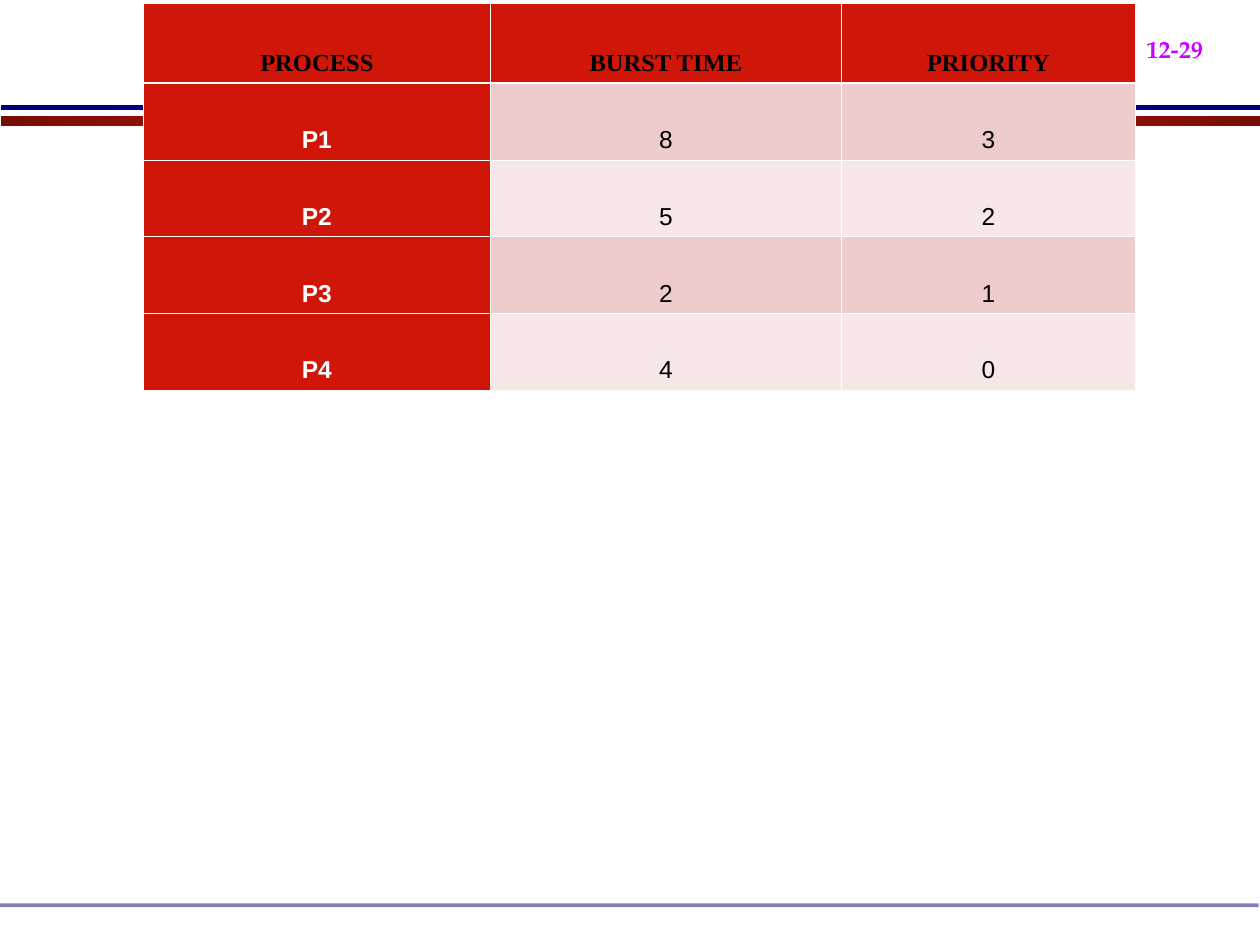
"""Builds a slide with a process scheduling table."""
import copy

import pptx
import pptx.dml.color
import pptx.enum.shapes
import pptx.enum.text
import pptx.oxml
import pptx.oxml.ns
import pptx.util
from pptx.util import Inches

COLORS = {
    "red": "D01608", "dark_red": "770D05", "bright_red": "E71909",
    "navy": "00007F", "blue": "0000B6", "footer": "000082",
    "pink": "EECCCC", "pale_pink": "F7E7E7", "magenta": "CC00FF",
    "black": "000000", "white": "FFFFFF",
}
PROCESSES = [
    ("PROCESS", "BURST TIME", "PRIORITY"),
    ("P1", "8", "3"),
    ("P2", "5", "2"),
    ("P3", "2", "1"),
    ("P4", "4", "0"),
]


def rgb(name):
    return pptx.dml.color.RGBColor.from_string(COLORS[name])


class SlideBuilder:
    def __init__(self, slide):
        self.slide = slide

    def bar(self, left, top, width, height, color):
        sp = self.slide.shapes.add_shape(
            pptx.enum.shapes.MSO_SHAPE.RECTANGLE,
            Inches(left), Inches(top), Inches(width), Inches(height))
        sp.shadow.inherit = False
        sp.line.fill.background()
        sp.fill.solid()
        sp.fill.fore_color.rgb = rgb(color)
        return sp

    def gradient_bar(self, left, top, width, height, edge, middle):
        sp = self.bar(left, top, width, height, edge)
        sp.fill.gradient()
        sp.fill.gradient_angle = 0
        stops = sp._element.spPr.find(".//" + pptx.oxml.ns.qn("a:gsLst"))
        stops.append(copy.deepcopy(stops[0]))
        for i, (stop, color) in enumerate(zip(sp.fill.gradient_stops, (edge, middle, edge))):
            stop.position = i / 2
            stop.color.rgb = rgb(color)

    def translucent_bar(self, left, top, width, height, color, alpha):
        sp = self.bar(left, top, width, height, color)
        clr = sp._element.spPr.find(".//" + pptx.oxml.ns.qn("a:srgbClr"))
        clr.append(pptx.oxml.parse_xml(
            f'<a:alpha {pptx.oxml.ns.nsdecls("a")} val="{alpha * 1000}"/>'))

    def style(self, p, font, size, color, bold):
        p.font.name = font
        p.font.size = pptx.util.Pt(size)
        p.font.color.rgb = rgb(color)
        p.font.bold = bold

    def page_number(self, text, left, top, width, height):
        sp = self.slide.shapes.add_textbox(
            Inches(left), Inches(top), Inches(width), Inches(height))
        tf = sp.text_frame
        tf.word_wrap = True
        p = tf.paragraphs[0]
        r = p.add_run()
        r.text = text
        r._r.get_or_add_rPr().set("baseline", "-25000")
        p.space_before = pptx.util.Pt(15)
        self.style(p, "TeX Gyre Pagella", 24, "magenta", True)

    def cell_borders(self, cell, widths):
        tc_pr = cell._tc.get_or_add_tcPr()
        for i, (side, width) in enumerate(zip("LRTB", widths)):
            tc_pr.insert(i, pptx.oxml.parse_xml(
                f'<a:ln{side} {pptx.oxml.ns.nsdecls("a")} w="{pptx.util.Pt(width)}">'
                f'<a:solidFill><a:srgbClr val="{COLORS["white"]}"/></a:solidFill></a:ln{side}>'))

    def table(self, rows, left, top, col_widths, row_heights):
        table = self.slide.shapes.add_table(
            len(rows), len(col_widths), Inches(left), Inches(top),
            Inches(sum(col_widths)), Inches(sum(row_heights))).table
        for column, width in zip(table.columns, col_widths):
            column.width = Inches(width)
        for i, (row, height) in enumerate(zip(rows, row_heights)):
            table.rows[i].height = Inches(height)
            for j, text in enumerate(row):
                self.cell(table.cell(i, j), text, i, j)

    def cell(self, cell, text, i, j):
        header, label = i == 0, j == 0
        fill = "red" if header or label else ("pale_pink", "pink")[i % 2]
        cell.fill.solid()
        cell.fill.fore_color.rgb = rgb(fill)
        cell.vertical_anchor = pptx.enum.text.MSO_ANCHOR.BOTTOM
        cell.margin_left = cell.margin_right = Inches(0.08 if header else 0.15)
        cell.margin_top = cell.margin_bottom = Inches(0.05)
        self.cell_borders(cell, (0.45, 0.45, 1.47 if i == 1 else 0.45, 1.47 if header else 0.45))
        p = cell.text_frame.paragraphs[0]
        p.text = text
        p.alignment = pptx.enum.text.PP_ALIGN.CENTER
        p.line_spacing = 2.0
        self.style(p, "Times New Roman" if header else "Arial", 14,
                   "white" if label and not header else "black", header or label)


def main():
    prs = pptx.Presentation()
    prs.slide_width, prs.slide_height = Inches(10), Inches(7.5)
    builder = SlideBuilder(prs.slides.add_slide(prs.slide_layouts[6]))
    builder.gradient_bar(0.01, 0.92, 9.99, 0.08, "dark_red", "bright_red")
    builder.gradient_bar(0.01, 0.83, 9.99, 0.04, "navy", "blue")
    builder.translucent_bar(0, 7.17, 9.99, 0.03, "footer", 50)
    builder.page_number("12-29", 9, 0, 1.08, 0.56)
    builder.table(PROCESSES, 1.14, 0.03, (2.75, 2.79, 2.33), [0.63] + [0.61] * 4)
    prs.save("out.pptx")


if __name__ == "__main__":
    main()
